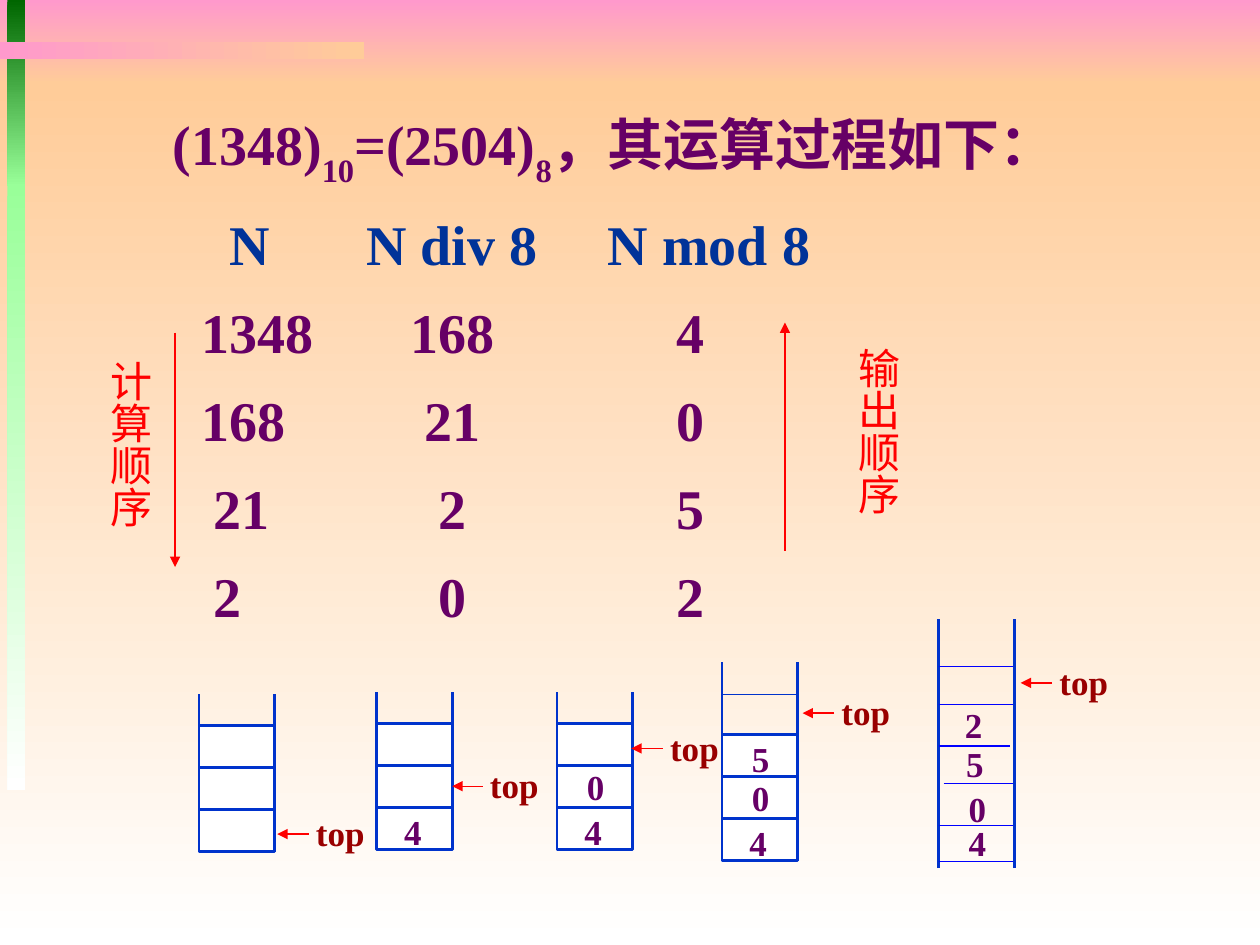
from dataclasses import dataclass

from lxml.etree import SubElement
from pptx import Presentation
from pptx.dml.color import RGBColor
from pptx.enum.shapes import MSO_CONNECTOR, MSO_SHAPE
from pptx.enum.text import MSO_ANCHOR, MSO_AUTO_SIZE, PP_ALIGN
from pptx.oxml.ns import qn
from pptx.util import Inches, Pt


@dataclass(frozen=True)
class Theme:
    font: str = "Times New Roman"
    pink: str = "FF99CC"
    peach: str = "FFCC99"
    white: str = "FFFFFF"
    dark_green: str = "006600"
    light_green: str = "99FF99"
    purple: str = "660066"
    navy: str = "003399"
    red: str = "FF0000"
    maroon: str = "990000"
    stack: str = "0033CC"
    divider: str = "0000FF"
    body_size: int = 32
    side_size: int = 24
    stack_size: int = 20


theme = Theme()
presentation = Presentation()
presentation.slide_width, presentation.slide_height = Inches(10), Inches(7.5)
slide = presentation.slides.add_slide(presentation.slide_layouts[6])


def add_text(text, left, top, width, height, *, size, color, bold=True,
             align=PP_ALIGN.LEFT, anchor=MSO_ANCHOR.TOP, wrap=False,
             vertical_inset=None, tab_stops=(), line_spacing=None, space_before=0):
    """Each line is a paragraph; text between a pair of bars is subscript."""
    shape = slide.shapes.add_textbox(Inches(left), Inches(top), Inches(width), Inches(height))
    frame = shape.text_frame
    frame.word_wrap, frame.vertical_anchor = wrap, anchor
    if not wrap:
        frame.auto_size = MSO_AUTO_SIZE.SHAPE_TO_FIT_TEXT
    if vertical_inset is not None:
        frame._txBody.bodyPr.set("vert", "eaVert")
        frame.margin_left = frame.margin_right = Inches(0.05)
        frame.margin_top, frame.margin_bottom = Inches(vertical_inset), Inches(0.1)
    for row, line in enumerate(text.split("\n")):
        paragraph = frame.add_paragraph() if row else frame.paragraphs[0]
        if tab_stops:
            tab_list = SubElement(paragraph._p.get_or_add_pPr(), qn("a:tabLst"))
            for position, kind in tab_stops[row]:
                SubElement(tab_list, qn("a:tab"), pos=str(Inches(position)), algn=kind)
        paragraph.alignment = align
        if line_spacing:
            paragraph.line_spacing = line_spacing
        if row:
            paragraph.space_before = Pt(space_before)
        for part, words in enumerate(line.split("|")):
            run = paragraph.add_run()
            run.text = words
            run.font.name, run.font.size, run.font.bold = theme.font, Pt(size), bold
            run.font.color.rgb = RGBColor.from_string(color)
            if part % 2:
                run._r.get_or_add_rPr().set("baseline", "-30000")
    return shape


def add_line(x1, y1, x2, y2, color, width, arrow=False):
    line = slide.shapes.add_connector(
        MSO_CONNECTOR.STRAIGHT, Inches(x1), Inches(y1), Inches(x2), Inches(y2))
    line.line.color.rgb = RGBColor.from_string(color)
    line.line.width = Pt(width)
    if arrow:
        SubElement(line.line._get_or_add_ln(), qn("a:tailEnd"), type="triangle")
    SubElement(line._element.spPr, qn("a:effectLst"))
    return line


# Background bands: left, top, width, height, first colour, last colour, angle
bands = [
    (0, 0, 10, 0.67, theme.pink, theme.peach, 270),
    (0, 0.67, 10, 6.83, theme.peach, theme.white, 270),
    (0.06, 0, 0.14, 1.48, theme.dark_green, theme.light_green, 270),
    (0.06, 1.46, 0.14, 4.81, theme.light_green, theme.white, 270),
    (0, 0.33, 2.89, 0.14, theme.pink, theme.peach, 0),
]
for left, top, width, height, first, last, angle in bands:
    band = slide.shapes.add_shape(
        MSO_SHAPE.RECTANGLE, Inches(left), Inches(top), Inches(width), Inches(height))
    band.shadow.inherit = False
    band.line.fill.background()
    band.fill.gradient()
    band.fill.gradient_angle = angle
    for position, (stop, color) in enumerate(zip(band.fill.gradient_stops, (first, last))):
        stop.color.rgb = RGBColor.from_string(color)
        stop.position = position

# Conversion steps, with columns set by tab stops
columns = [(2.66, "ctr"), (4.55, "ctr")]
steps = add_text(
    "\t(1348)|10|=(2504)|8|，其运算过程如下：\n"
    "\tN\tN div 8\tN mod 8\n"
    "\t1348\t168\t4\n"
    "\t168\t21\t0\n"
    "\t21\t2\t5\n"
    "\t2\t0\t2",
    0.83, 0.76, 9.17, 4.28, size=theme.body_size, color=theme.purple, wrap=True,
    line_spacing=1.1, space_before=8,
    tab_stops=[[(0.44, "l")], [(0.89, "l"), (2.66, "ctr"), (4.7, "ctr")]]
    + [[(first, "l")] + columns for first in (0.67, 0.67, 0.77, 0.77)])
for run in steps.text_frame.paragraphs[1].runs:
    run.font.color.rgb = RGBColor.from_string(theme.navy)

# Order arrows and their vertical labels
add_line(1.39, 2.64, 1.39, 4.5, theme.red, 1, arrow=True)
add_line(6.23, 4.37, 6.23, 2.56, theme.red, 1, arrow=True)
for text, left, top, height, inset in [("计算顺序", 0.68, 2.34, 2.35, 0.52),
                                       ("输出顺序", 6.62, 2.52, 1.8, 0.24)]:
    add_text(text, left, top, 0.6, height, size=theme.side_size, color=theme.red,
             bold=False, wrap=True, vertical_inset=inset)

# Stacks: left, rim, base, boxed cells, pointer gap, pointer height,
# cell joined to the pointer, digits as (text, offset, top)
stack_width, cell_height = 0.6, 1 / 3
stacks = [
    (1.58, 5.51, 6.76, 3, 0.62, 6.62, None, []),
    (2.99, 5.49, 6.74, 3, 0.59, 6.24, 1, [("4", 0.12, 6.38)]),
    (4.42, 5.49, 6.74, 3, 0.59, 5.94, None, [("4", 0.12, 6.38), ("0", 0.14, 6.02)]),
    (5.73, 5.25, 6.83, 3, 0.64, 5.66, None,
     [("4", 0.12, 6.47), ("0", 0.14, 6.11), ("5", 0.14, 5.8)]),
    (7.45, 4.91, 6.89, 0, 0.65, 5.42, None,
     [("4", 0.14, 6.47), ("0", 0.14, 6.2), ("5", 0.12, 5.84), ("2", 0.11, 5.53)]),
]
for left, rim, base, cell_count, gap, pointer_y, joined, digits in stacks:
    for x in (left, left + stack_width):
        add_line(x, base, x, rim, theme.stack, 1.5)
    cells = []
    for level in range(cell_count):
        cell = slide.shapes.add_shape(
            MSO_SHAPE.RECTANGLE, Inches(left), Inches(base - (level + 1) * cell_height),
            Inches(stack_width), Inches(cell_height))
        cell.shadow.inherit = False
        cell.fill.solid()
        cell.fill.fore_color.rgb = RGBColor.from_string(theme.white)
        cell.line.color.rgb = RGBColor.from_string(theme.stack)
        cell.line.width = Pt(1.5)
        cells.append(cell)
    pointer_x = left + gap
    pointer = add_line(pointer_x + 0.25, pointer_y, pointer_x, pointer_y,
                       theme.red, 0.75, arrow=True)
    if joined is not None:
        pointer.end_connect(cells[joined], 3)
    add_text("top", pointer_x + 0.21, pointer_y - 0.23, 0.6, 0.44,
             size=theme.stack_size, color=theme.maroon, anchor=MSO_ANCHOR.MIDDLE)
    for digit, offset, top in digits:
        add_text(digit, left + offset, top, 0.34, 0.44, size=theme.stack_size,
                 color=theme.purple, anchor=MSO_ANCHOR.MIDDLE)

# Thin dividers of the last two stacks
add_line(5.73, 5.51, 6.33, 5.51, theme.stack, 0.75)
for start, end, y in [(7.45, 8.04, 6.84), (7.45, 8.04, 6.55), (7.49, 8.04, 6.22),
                      (7.45, 8.02, 5.92), (7.45, 8.04, 5.59), (7.45, 8.04, 5.29)]:
    add_line(start, y, end, y, theme.divider, 0.75)

presentation.save("out.pptx")
